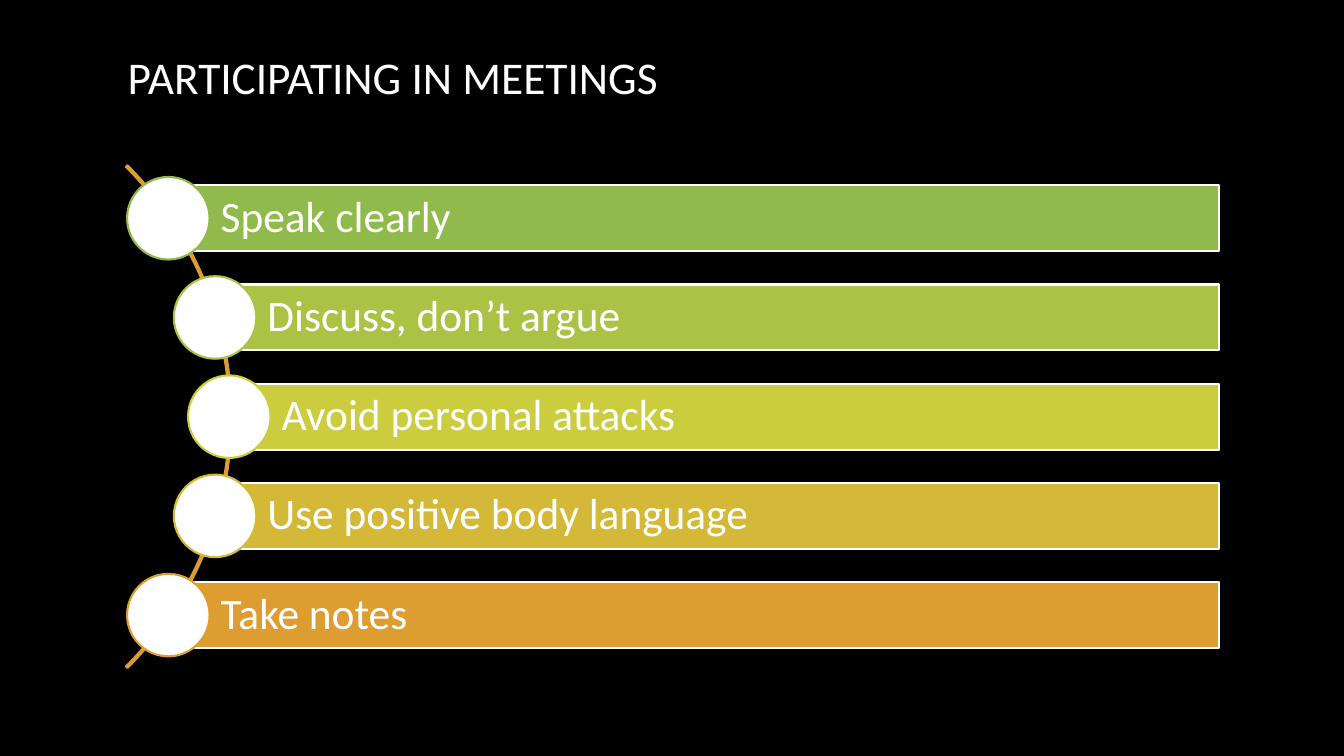
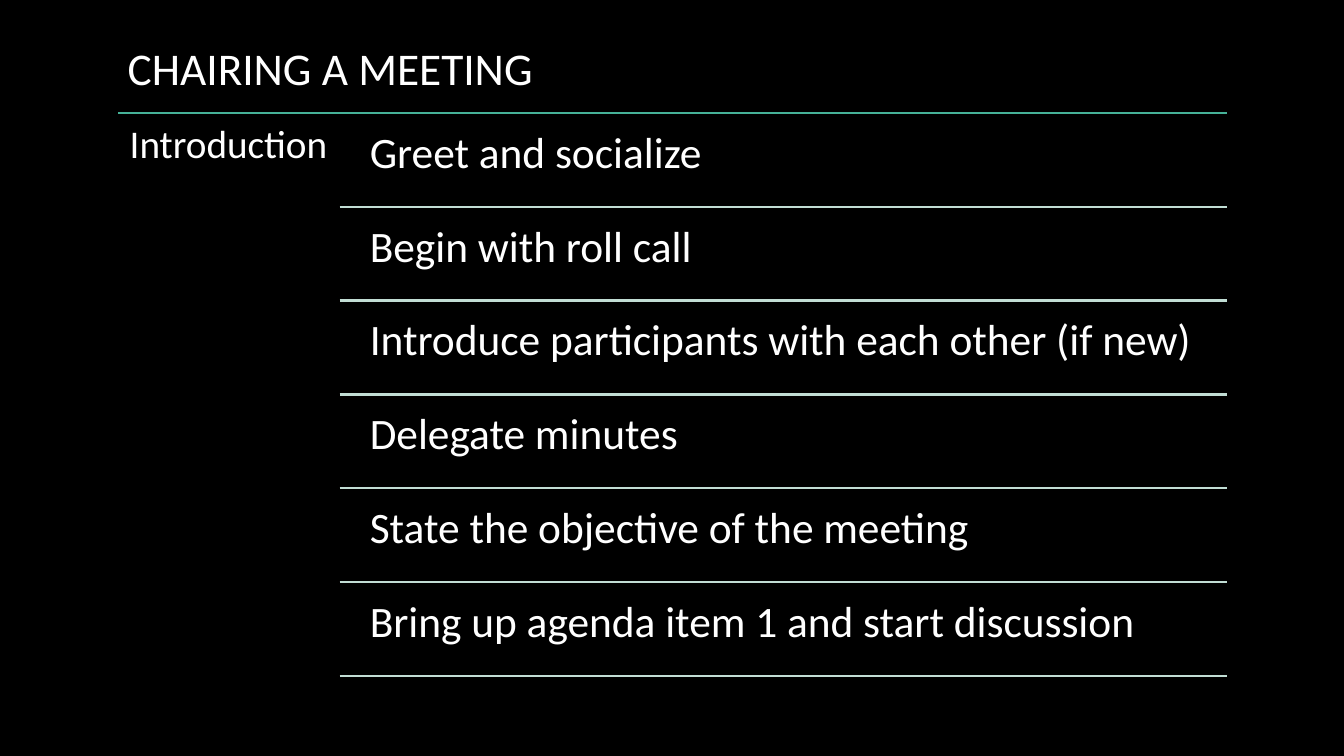
from math import sqrt

from lxml.etree import SubElement
from pptx import Presentation
from pptx.dml.color import RGBColor
from pptx.enum.shapes import MSO_CONNECTOR, MSO_SHAPE
from pptx.enum.text import MSO_ANCHOR, PP_ALIGN
from pptx.oxml.ns import qn
from pptx.util import Cm, Pt

BLACK = RGBColor(0x00, 0x00, 0x00)
WHITE = RGBColor(0xFF, 0xFF, 0xFF)
ORANGE = RGBColor(0xDD, 0x9D, 0x31)
TEAL = RGBColor(0x46, 0xB2, 0x98)
PALE_TEAL = RGBColor(0xC1, 0xDD, 0xD4)
FONT = "Calibri"
LINE_WIDTH = Pt(1.5)
MARGIN, CONTENT_WIDTH = 2.97, 27.94
CONTENT_RIGHT = MARGIN + CONTENT_WIDTH

PARTICIPATING = "PARTICIPATING IN MEETINGS"
TIPS = [
    ("Speak clearly", RGBColor(0x90, 0xBA, 0x4C)),
    ("Discuss, don’t argue", RGBColor(0xAB, 0xC3, 0x45)),
    ("Avoid personal attacks", RGBColor(0xCB, 0xCC, 0x3E)),
    ("Use positive body language", RGBColor(0xD4, 0xB8, 0x38)),
    ("Take notes", ORANGE),
]
CHAIRING = "CHAIRING A MEETING"
STAGE = "Introduction"
STEPS = [
    "Greet and socialize",
    "Begin with roll call",
    "Introduce participants with each other (if new)",
    "Delegate minutes",
    "State the objective of the meeting",
    "Bring up agenda item 1 and start discussion",
]


def write(shape, text, size, insets=None, anchor=MSO_ANCHOR.MIDDLE):
    frame = shape.text_frame
    frame.word_wrap = True
    frame.vertical_anchor = anchor
    if insets:
        (frame.margin_left, frame.margin_top,
         frame.margin_right, frame.margin_bottom) = map(Cm, insets)
    frame.text = text
    paragraph = frame.paragraphs[0]
    paragraph.alignment = PP_ALIGN.LEFT
    paragraph.line_spacing = 0.9
    font = paragraph.runs[0].font
    font.name, font.size = FONT, Pt(size)
    font.color.rgb = WHITE


def add_text(slide, left, top, width, height, text, size, **layout):
    box = slide.shapes.add_textbox(Cm(left), Cm(top), Cm(width), Cm(height))
    write(box, text, size, **layout)


def add_figure(slide, kind, left, top, width, height, fill, line):
    shape = slide.shapes.add_shape(kind, Cm(left), Cm(top), Cm(width), Cm(height))
    shape.shadow.inherit = False
    if fill is None:
        shape.fill.background()
    else:
        shape.fill.solid()
        shape.fill.fore_color.rgb = fill
    shape.line.color.rgb = line
    shape.line.width = LINE_WIDTH
    return shape


def add_rule(slide, left, y, color):
    rule = slide.shapes.add_connector(
        MSO_CONNECTOR.STRAIGHT, Cm(left), Cm(y), Cm(CONTENT_RIGHT), Cm(y))
    rule.line.color.rgb = color
    rule.line.width = LINE_WIDTH
    SubElement(rule._element.spPr, qn("a:effectLst"))


def add_slide(presentation, title, title_height):
    slide = presentation.slides.add_slide(presentation.slide_layouts[6])
    slide.background.fill.solid()
    slide.background.fill.fore_color.rgb = BLACK
    add_text(slide, MARGIN, 1.35, CONTENT_WIDTH, title_height, title, 32.4)
    return slide


def build_tips(presentation):
    slide = add_slide(presentation, PARTICIPATING, 1.32)
    center_x, center_y, arc_size, curve_radius = -3.12, 10.5, 17.91, 8.9
    pitch, bar_height, bar_right, circle_size = 2.5, 1.66, 30.72, 2.08

    arc = add_figure(slide, MSO_SHAPE.BLOCK_ARC, center_x - arc_size / 2,
                     center_y - arc_size / 2, arc_size, arc_size, None, ORANGE)
    for index, value in enumerate((189, 27, 0.003)):
        arc.adjustments[index] = value

    for index, (tip, color) in enumerate(TIPS):
        offset = (index - (len(TIPS) - 1) / 2) * pitch
        x = center_x + sqrt(curve_radius ** 2 - offset ** 2)
        y = center_y + offset
        bar = add_figure(slide, MSO_SHAPE.RECTANGLE, x, y - bar_height / 2,
                         bar_right - x, bar_height, color, WHITE)
        write(bar, tip, 31, insets=(1.32, 0.23, 0.23, 0.23))
        add_figure(slide, MSO_SHAPE.OVAL, x - circle_size / 2,
                   y - circle_size / 2, circle_size, circle_size, WHITE, color)


def build_steps(presentation):
    slide = add_slide(presentation, CHAIRING, 0.89)
    top, bottom, rule_left, text_left = 2.84, 17.04, 8.56, 8.99
    pitch = (bottom - top) / len(STEPS)

    add_rule(slide, MARGIN, top, TEAL)
    add_text(slide, MARGIN, top, 5.59, bottom - top, STAGE, 28,
             insets=(0.3,) * 4, anchor=MSO_ANCHOR.TOP)
    for index, step in enumerate(STEPS):
        row_top = top + index * pitch
        add_text(slide, text_left, row_top + 0.12, CONTENT_RIGHT - text_left,
                 pitch - 0.12, step, 31, insets=(0.33,) * 4, anchor=MSO_ANCHOR.TOP)
        add_rule(slide, rule_left, row_top + pitch, PALE_TEAL)


def main():
    presentation = Presentation()
    presentation.slide_width, presentation.slide_height = Cm(33.87), Cm(19.05)
    build_tips(presentation)
    build_steps(presentation)
    presentation.save("out.pptx")


if __name__ == "__main__":
    main()
